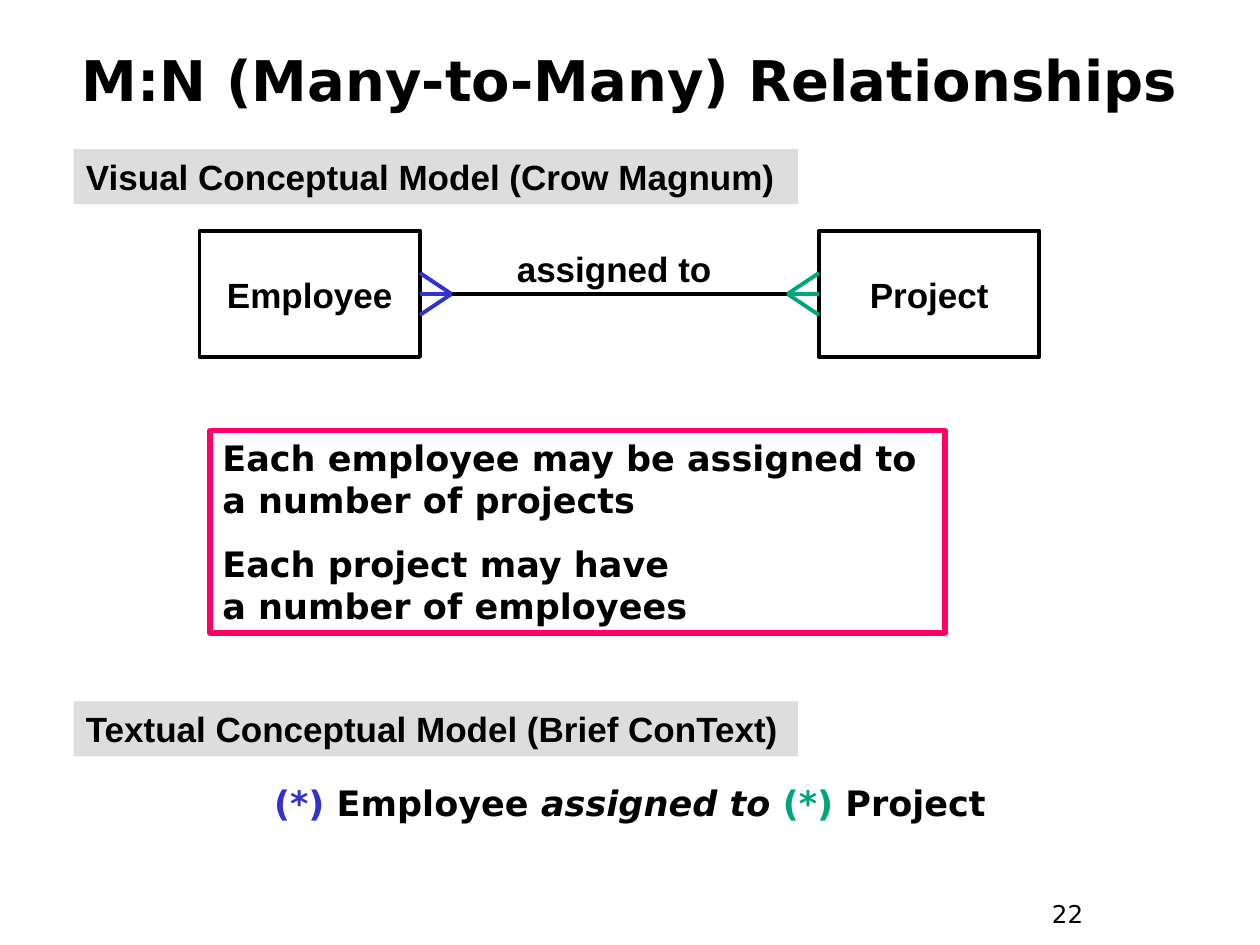
"""Build a slide on many-to-many relationships between employees and projects."""
from lxml.etree import SubElement
from pptx import Presentation
from pptx.dml.color import RGBColor
from pptx.enum.shapes import MSO_CONNECTOR as Connector, MSO_SHAPE as Preset
from pptx.enum.text import MSO_ANCHOR as Anchor, PP_ALIGN as Align
from pptx.oxml.ns import qn
from pptx.util import Inches, Pt

BLACK = RGBColor(0x00, 0x00, 0x00)
GREY = RGBColor(0xDD, 0xDD, 0xDD)
PINK = RGBColor(0xFF, 0x00, 0x66)
BLUE = RGBColor(0x33, 0x33, 0xCC)
GREEN = RGBColor(0x00, 0xA6, 0x7B)
SANS, ARIAL = "DejaVu Sans", "Arial"

deck = Presentation()
deck.slide_width, deck.slide_height = Inches(10), Inches(7.5)
COL, ROW = deck.slide_width / 120, deck.slide_height / 90
slide = deck.slides.add_slide(deck.slide_layouts[6])
shapes = slide.shapes


def add_box(area, lines, font, size=20, bold=True, align=Align.LEFT,
            anchor=Anchor.TOP, wrap=True, fill=None, outline=None, weight=2.25):
    col, row, cols, rows = area
    place = [round(n) for n in (col * COL, row * ROW, cols * COL, rows * ROW)]
    if fill or outline:
        box = shapes.add_shape(Preset.RECTANGLE, *place)
        box.shadow.inherit = False
        if fill:
            box.fill.solid()
            box.fill.fore_color.rgb = fill
        else:
            box.fill.background()
        if outline:
            box.line.color.rgb = outline
            box.line.width = Pt(weight)
        else:
            box.line.fill.background()
    else:
        box = shapes.add_textbox(*place)
    frame = box.text_frame
    frame.word_wrap, frame.vertical_anchor = wrap, anchor
    for index, line in enumerate(lines):
        paragraph = frame.add_paragraph() if index else frame.paragraphs[0]
        if index:
            paragraph.space_before = Pt(12.5)
        paragraph.alignment = align
        for words, colour, italic in [(line, BLACK, False)] if isinstance(line, str) else line:
            first = len(paragraph.runs)
            for part, text in enumerate(words.split("\n")):
                if part:
                    paragraph.add_line_break()
                paragraph.add_run().text = text
            for run in paragraph.runs[first:]:
                run.font.name, run.font.size = font, Pt(size)
                run.font.bold, run.font.italic = bold, italic
                run.font.color.rgb = colour
    return box


def add_line(start, end, colour):
    (col, row), (end_col, end_row) = start, end
    line = shapes.add_connector(Connector.STRAIGHT, round(col * COL), round(row * ROW),
                                round(end_col * COL), round(end_row * ROW))
    line.line.color.rgb = colour
    line.line.width = Pt(2.25)
    SubElement(line._element.spPr, qn("a:effectLst"))
    return line


add_box((99, 85, 9, 4.4), ["22"], SANS, size=14, bold=False)
add_box((4, 2, 112, 11), ["M:N (Many-to-Many) Relationships"], SANS, size=32,
        align=Align.CENTER, anchor=Anchor.MIDDLE)

employee, project = [
    add_box((col, 22, 21, 12), [entity], ARIAL, align=Align.CENTER,
            anchor=Anchor.MIDDLE, wrap=False, outline=BLACK)
    for col, entity in ((19, "Employee"), (78, "Project"))
]
relationship = add_line((40, 28), (78, 28), BLACK)
relationship.begin_connect(employee, 3)
relationship.end_connect(project, 1)
add_box((46, 23, 25, 5.25), ["assigned to"], ARIAL, align=Align.CENTER)

add_box((11, 73.8, 98, 5.25), [[
    ("(*)", BLUE, False), (" Employee ", BLACK, False), ("assigned to ", BLACK, True),
    ("(*)", GREEN, False), (" Project", BLACK, False),
]], SANS, align=Align.CENTER)

for row, heading in ((14.2, "Visual Conceptual Model (Crow Magnum)"),
                     (66.8, "Textual Conceptual Model (Brief ConText)")):
    add_box((7, row, 69, 5.25), [heading], ARIAL, fill=GREY)

add_box((20, 41, 70, 19.3), [
    "Each employee may be assigned to a number of projects",
    "Each project may have\na number of employees",
], SANS, outline=PINK, weight=3)

for entity, site, side, tip, colour in ((employee, 3, 40, 43, BLUE),
                                        (project, 1, 78, 75, GREEN)):
    for row in (26, 30, 28):
        prong = add_line((side, row), (tip, 28), colour)
    prong.begin_connect(entity, site)

deck.save("out.pptx")
